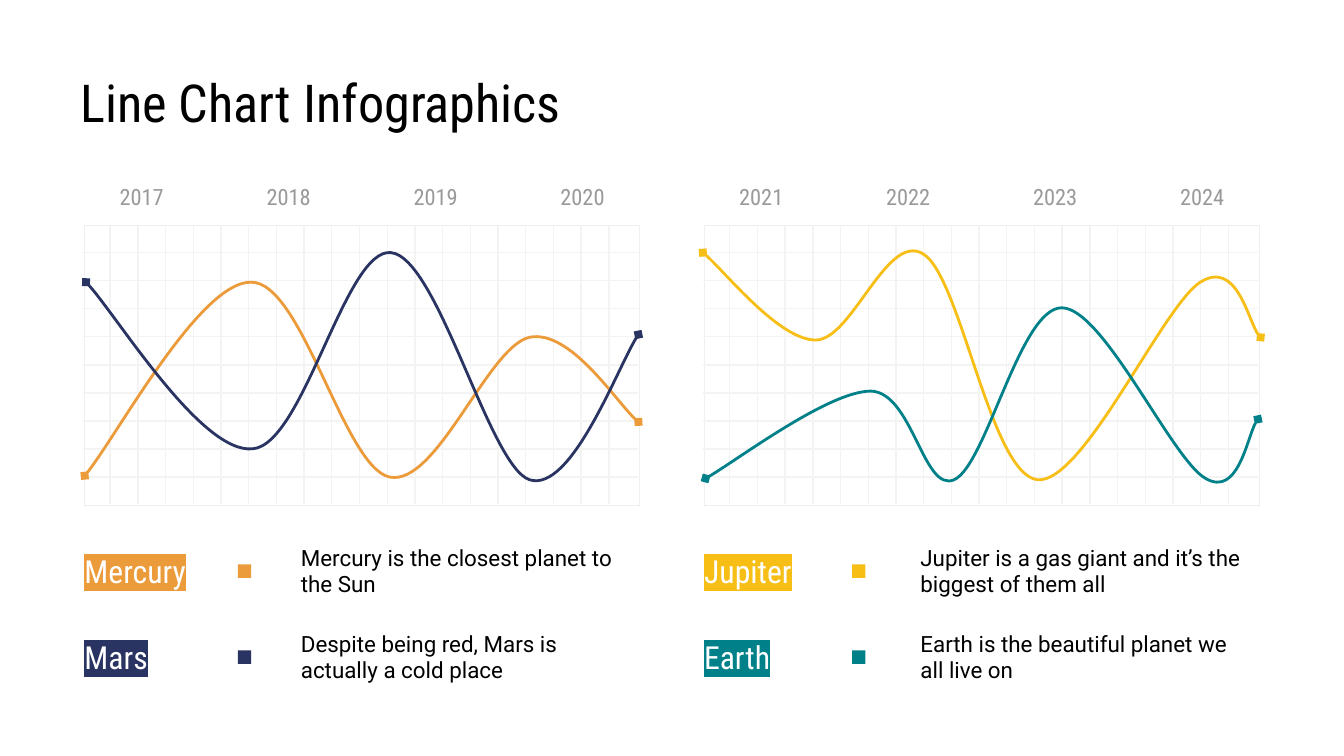
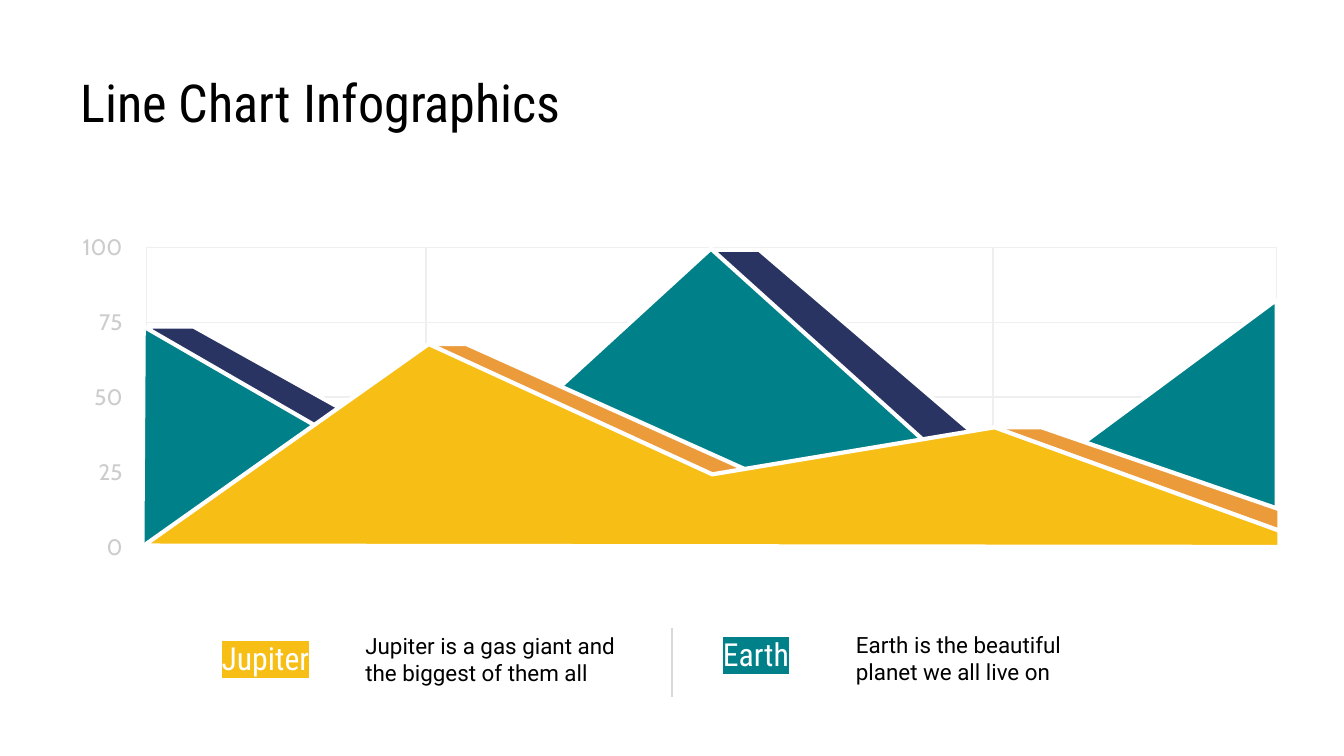
from lxml.etree import SubElement
from pptx import Presentation
from pptx.dml.color import RGBColor
from pptx.enum.shapes import MSO_CONNECTOR, MSO_SHAPE
from pptx.enum.text import MSO_ANCHOR, PP_ALIGN
from pptx.oxml.ns import qn
from pptx.util import Inches, Pt

BLACK = RGBColor(0x00, 0x00, 0x00)
WHITE = RGBColor(0xFF, 0xFF, 0xFF)
ORANGE = RGBColor(0xEC, 0x9B, 0x3B)
NAVY = RGBColor(0x29, 0x34, 0x62)
YELLOW = RGBColor(0xF7, 0xBE, 0x16)
TEAL = RGBColor(0x00, 0x81, 0x8A)
FRAME = RGBColor(0xEF, 0xEF, 0xEF)
GRID = RGBColor(0xF3, 0xF3, 0xF3)
DIVIDER = RGBColor(0xD9, 0xD9, 0xD9)
YEAR_GRAY = RGBColor(0x99, 0x99, 0x99)
AXIS_GRAY = RGBColor(0xCC, 0xCC, 0xCC)

HEADING_FONT = "Roboto Condensed"
BODY_FONT = "Roboto"
AXIS_FONT = "Cabin"

TITLE = "Line Chart Infographics"
# name: colour, label width
PLANETS = {
    "Mercury": (ORANGE, 1.16),
    "Mars": (NAVY, 1.16),
    "Jupiter": (YELLOW, 0.98),
    "Earth": (TEAL, 1.16),
}

# Each curve is a start point followed by two control points and an end point per bend.
PANELS = [
    {
        "left": 0.63,
        "marker": 1.77,
        "years": ["2017", "2018", "2019", "2020"],
        "planets": [
            ("Mercury", "Mercury is the closest planet to the Sun",
             [(0.63, 3.54), (0.84, 3.3), (1.49, 2.09), (1.87, 2.1),
              (2.25, 2.1), (2.56, 3.48), (2.9, 3.55),
              (3.25, 3.62), (3.63, 2.58), (3.94, 2.51),
              (4.24, 2.45), (4.61, 3.03), (4.75, 3.14)]),
            ("Mars", "Despite being red, Mars is actually a cold place",
             [(0.64, 2.1), (0.84, 2.3), (1.5, 3.38), (1.88, 3.34),
              (2.26, 3.31), (2.57, 1.84), (2.91, 1.88),
              (3.26, 1.92), (3.64, 3.47), (3.94, 3.57),
              (4.25, 3.67), (4.62, 2.67), (4.75, 2.49)]),
        ],
    },
    {
        "left": 5.24,
        "marker": 6.34,
        "years": ["2021", "2022", "2023", "2024"],
        "planets": [
            ("Jupiter", "Jupiter is a gas giant and it’s the biggest of them all",
             [(5.23, 1.88), (5.37, 1.99), (5.8, 2.53), (6.07, 2.53),
              (6.34, 2.53), (6.6, 1.72), (6.87, 1.89),
              (7.15, 2.06), (7.37, 3.53), (7.72, 3.57),
              (8.06, 3.6), (8.65, 2.28), (8.93, 2.1),
              (9.2, 1.93), (9.3, 2.45), (9.38, 2.51)]),
            ("Earth", "Earth is the beautiful planet we all live on",
             [(5.25, 3.56), (5.45, 3.45), (6.17, 2.91), (6.48, 2.91),
              (6.79, 2.92), (6.87, 3.67), (7.1, 3.57),
              (7.34, 3.46), (7.59, 2.29), (7.9, 2.29),
              (8.21, 2.29), (8.72, 3.42), (8.97, 3.56),
              (9.21, 3.7), (9.29, 3.19), (9.36, 3.12)]),
        ],
    },
]

AXIS_VALUES = ["100", "75", "50", "25", "0"]
AREAS = [
    (NAVY, [(1.12, 2.43), (1.44, 2.43), (3.47, 3.56), (3.27, 3.79), (1.13, 2.77)]),
    (NAVY, [(5.29, 1.86), (5.65, 1.86), (7.73, 3.64), (7.44, 3.89), (6.29, 3.14),
            (5.33, 2.28)]),
    (TEAL, [(1.07, 2.43), (3.27, 3.7), (5.29, 1.85), (7.42, 3.77), (9.5, 2.23),
            (9.5, 4.06), (1.06, 4.06)]),
    (ORANGE, [(3.19, 2.56), (3.47, 2.56), (5.54, 3.49), (5.32, 3.55), (3.27, 2.75)]),
    (ORANGE, [(7.39, 3.18), (7.75, 3.18), (9.52, 3.79), (9.52, 3.95)]),
    (YELLOW, [(1.07, 4.06), (3.19, 2.56), (5.3, 3.53), (7.4, 3.18), (9.52, 3.95),
              (9.52, 4.07)]),
]
# name, label position, description, description position
AREA_LEGEND = [
    ("Jupiter", (1.55, 4.73), "Jupiter is a gas giant and the biggest of them all", (2.62, 4.63)),
    ("Earth", (5.28, 4.7), "Earth is the beautiful planet we all live on", (6.27, 4.62)),
]


def spread(first, last, count):
    """Evenly spaced positions from first to last."""
    return [first + (last - first) * i / (count - 1) for i in range(count)]


def add_text(slide, text, left, top, width, height, *, size=12, font=BODY_FONT, color=BLACK,
             align=PP_ALIGN.LEFT, anchor=MSO_ANCHOR.MIDDLE, highlight=None):
    frame = slide.shapes.add_textbox(*map(Inches, (left, top, width, height))).text_frame
    frame.word_wrap = True
    frame.vertical_anchor = anchor
    frame.margin_left = frame.margin_right = Inches(0.1)
    frame.margin_top = frame.margin_bottom = Inches(0.1)
    paragraph = frame.paragraphs[0]
    paragraph.alignment = align
    run = paragraph.add_run()
    run.text = text
    run.font.size = Pt(size)
    run.font.name = font
    run.font.color.rgb = color
    if highlight is not None:
        properties = run._r.get_or_add_rPr()
        mark = SubElement(properties, qn("a:highlight"))
        SubElement(mark, qn("a:srgbClr"), val=str(highlight))
        properties.find(qn("a:solidFill")).addnext(mark)


def add_title(slide):
    add_text(slide, TITLE, 0.5, 0.42, 9, 0.63, size=28, font=HEADING_FONT,
             anchor=MSO_ANCHOR.TOP)


def add_planet_label(slide, name, left, top):
    color, width = PLANETS[name]
    add_text(slide, name, left, top, width, 0.33, size=17, font=HEADING_FONT, color=WHITE,
             highlight=color)


def style_shape(shape, fill=None, line=None, weight=0.75):
    shape.shadow.inherit = False
    if fill is None:
        shape.fill.background()
    else:
        shape.fill.solid()
        shape.fill.fore_color.rgb = fill
    if line is None:
        shape.line.fill.background()
    else:
        shape.line.color.rgb = line
        shape.line.width = Pt(weight)


def add_rectangle(shapes, left, top, width, height, **style):
    box = shapes.add_shape(MSO_SHAPE.RECTANGLE, *map(Inches, (left, top, width, height)))
    style_shape(box, **style)


def add_line(shapes, x1, y1, x2, y2, color):
    line = shapes.add_connector(MSO_CONNECTOR.STRAIGHT, *map(Inches, (x1, y1, x2, y2)))
    line.line.color.rgb = color
    line.line.width = Pt(0.75)
    SubElement(line._element.spPr, qn("a:effectLst"))


def add_outline(slide, points, close):
    start, *rest = [(Inches(x), Inches(y)) for x, y in points]
    builder = slide.shapes.build_freeform(*start)
    builder.add_line_segments(rest, close=close)
    return builder.convert_to_shape()


def add_curve(slide, points, color):
    """Draw a smooth line with a diamond at each end."""
    curve = add_outline(slide, points, close=False)
    style_shape(curve, line=color, weight=1.5)
    properties = curve._element.spPr
    for end in ("a:headEnd", "a:tailEnd"):
        SubElement(properties.find(qn("a:ln")), qn(end), type="diamond")
    outline = next(properties.iter(qn("a:path")))
    segments = outline.findall(qn("a:lnTo"))
    for first in range(0, len(segments), 3):
        bend = SubElement(outline, qn("a:cubicBezTo"))
        for segment in segments[first:first + 3]:
            bend.append(segment[0])
            outline.remove(segment)


def add_panel(slide, panel):
    left = panel["left"]
    grid = slide.shapes.add_group_shape().shapes
    add_rectangle(grid, left, 1.68, 4.13, 2.08, line=FRAME)
    for x in spread(left + 0.19, left + 3.9, 19):
        add_line(grid, x, 1.68, x, 3.75, GRID)
    for y in spread(3.55, 1.88, 9):
        add_line(grid, left - 0.01, y, left + 4.12, y, GRID)

    for year, x in zip(panel["years"], spread(left + 0.14, left + 3.42, 4)):
        add_text(slide, year, x, 1.36, 0.57, 0.21, font=HEADING_FONT, color=YEAR_GRAY,
                 align=PP_ALIGN.CENTER)

    for row, (name, description, points) in enumerate(panel["planets"]):
        top = 3.97 + 0.64 * row
        color = PLANETS[name][0]
        add_planet_label(slide, name, left - 0.1, top + 0.11)
        add_rectangle(slide.shapes, panel["marker"], top + 0.23, 0.1, 0.1, fill=color)
        add_text(slide, description, left + 1.51, top, 2.61, 0.55)
        add_curve(slide, points, color)


def build_curves_slide(slide):
    add_title(slide)
    for panel in PANELS:
        add_panel(slide, panel)


def build_areas_slide(slide):
    add_title(slide)
    grid = slide.shapes.add_group_shape().shapes
    add_rectangle(grid, 1.09, 1.84, 8.41, 2.21, line=FRAME)
    for y in spread(2.4, 3.51, 3):
        add_line(grid, 1.09, y, 9.5, y, FRAME)
    for x in spread(3.17, 7.39, 3):
        add_line(grid, x, 1.84, x, 4.07, FRAME)

    for value, y in zip(AXIS_VALUES, spread(1.67, 3.9, len(AXIS_VALUES))):
        add_text(slide, value, 0.5, y, 0.51, 0.33, font=AXIS_FONT, color=AXIS_GRAY,
                 align=PP_ALIGN.RIGHT)

    for name, label_at, description, description_at in AREA_LEGEND:
        add_planet_label(slide, name, *label_at)
        add_text(slide, description, *description_at, 2.18, 0.55)
    add_line(slide.shapes, 5, 4.67, 5, 5.19, DIVIDER)

    for color, points in AREAS:
        style_shape(add_outline(slide, points, close=True), fill=color, line=WHITE, weight=2.25)


def main():
    deck = Presentation()
    deck.slide_width = Inches(10)
    deck.slide_height = Inches(10 * 9 / 16)
    blank = deck.slide_layouts[6]
    for build in (build_curves_slide, build_areas_slide):
        build(deck.slides.add_slide(blank))
    deck.save("out.pptx")


if __name__ == "__main__":
    main()
